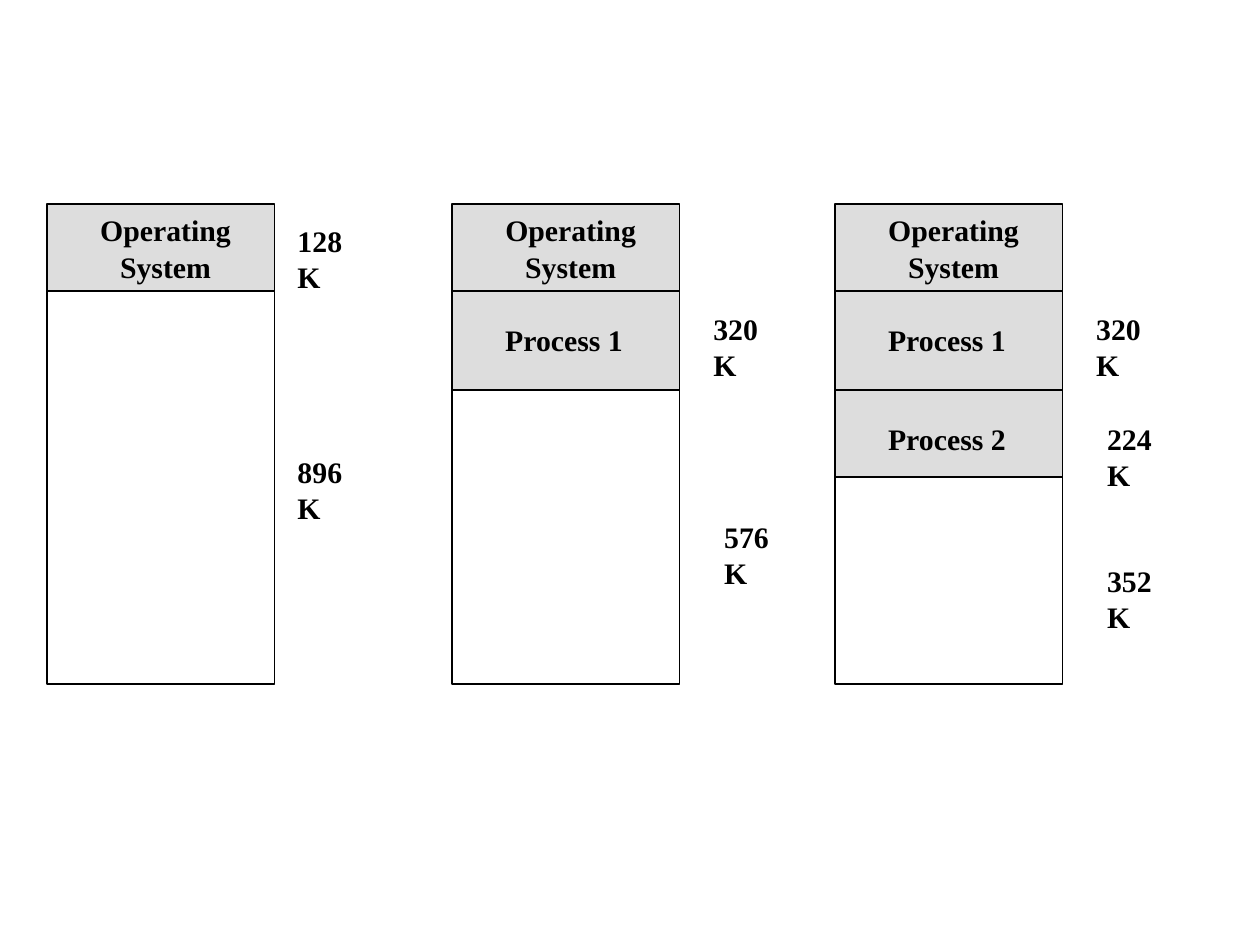
from lxml import etree
from pptx import Presentation
from pptx.dml.color import RGBColor
from pptx.enum import shapes, text
from pptx.oxml.ns import qn
from pptx.util import Pt

BLACK = RGBColor(0, 0, 0)
GREY = RGBColor(0xDD, 0xDD, 0xDD)
FONT, SIZE = "Times New Roman", 17

TOP, WIDE, HIGH = 116.6, 130, 274.3
INDENT = 30.3
LINE = 20.4

# Used parts of memory, from the top: lines, text top, text width, lower edge
USED = [
    (["Operating", "System"], 121, 74.9, 166.5),
    (["Process 1"], 183.8, 67.7, 222.9),
    (["Process 2"], 240.4, 67.7, 272.8),
]

# Left edge, number of used parts, sizes as (label, gap from left edge, top)
COLUMNS = [
    (26.9, 1, [("128 K", 143.1, 127.4), ("896 K", 143.1, 259.3)]),
    (258.4, 2, [("320 K", 149.2, 177.6), ("576 K", 155.4, 296.6)]),
    (477.2, 3, [("320 K", 149.2, 177.6), ("224 K", 155.4, 240.4),
                ("352 K", 155.4, 321.8)]),
]

deck = Presentation()
deck.slide_width, deck.slide_height = Pt(720), Pt(540)
slide = deck.slides.add_slide(deck.slide_layouts[6])


def add_box(left, high, fill=None):
    """Draw a shaded area, or a black outline when no fill is given."""
    box = slide.shapes.add_shape(
        shapes.MSO_SHAPE.RECTANGLE, Pt(left), Pt(TOP), Pt(WIDE), Pt(high))
    box.shadow.inherit = False
    if fill is None:
        box.fill.background()
        box.line.color.rgb = BLACK
        box.line.width = Pt(1)
    else:
        box.fill.solid()
        box.fill.fore_color.rgb = fill
        box.line.fill.background()


def add_rule(left, y):
    rule = slide.shapes.add_connector(
        shapes.MSO_CONNECTOR.STRAIGHT, Pt(left), Pt(y), Pt(left + WIDE), Pt(y))
    rule.line.color.rgb = BLACK
    rule.line.width = Pt(1)
    etree.SubElement(rule._element.spPr, qn("a:effectLst"))


def add_text(lines, left, top, wide):
    box = slide.shapes.add_textbox(
        Pt(left), Pt(top), Pt(wide), Pt(LINE * len(lines)))
    frame = box.text_frame
    frame.margin_left = frame.margin_right = 0
    frame.margin_top = frame.margin_bottom = 0
    frame.word_wrap = False
    frame.text = "\n".join(lines)
    for i, para in enumerate(frame.paragraphs):
        if len(lines) > 1:
            para.alignment = text.PP_ALIGN.CENTER
        if i:
            para.space_before = Pt(0.8)
        para.font.name = FONT
        para.font.size = Pt(SIZE)
        para.font.bold = True
        para.font.color.rgb = BLACK


for left, count, sizes in COLUMNS:
    parts = USED[:count]
    add_box(left, parts[-1][-1] - TOP, GREY)
    add_box(left, HIGH)
    for lines, top, wide, edge in parts:
        add_rule(left, edge)
        add_text(lines, left + INDENT, top, wide)
    for label, gap, top in sizes:
        add_text([label], left + gap, top, 43)

deck.save("out.pptx")
